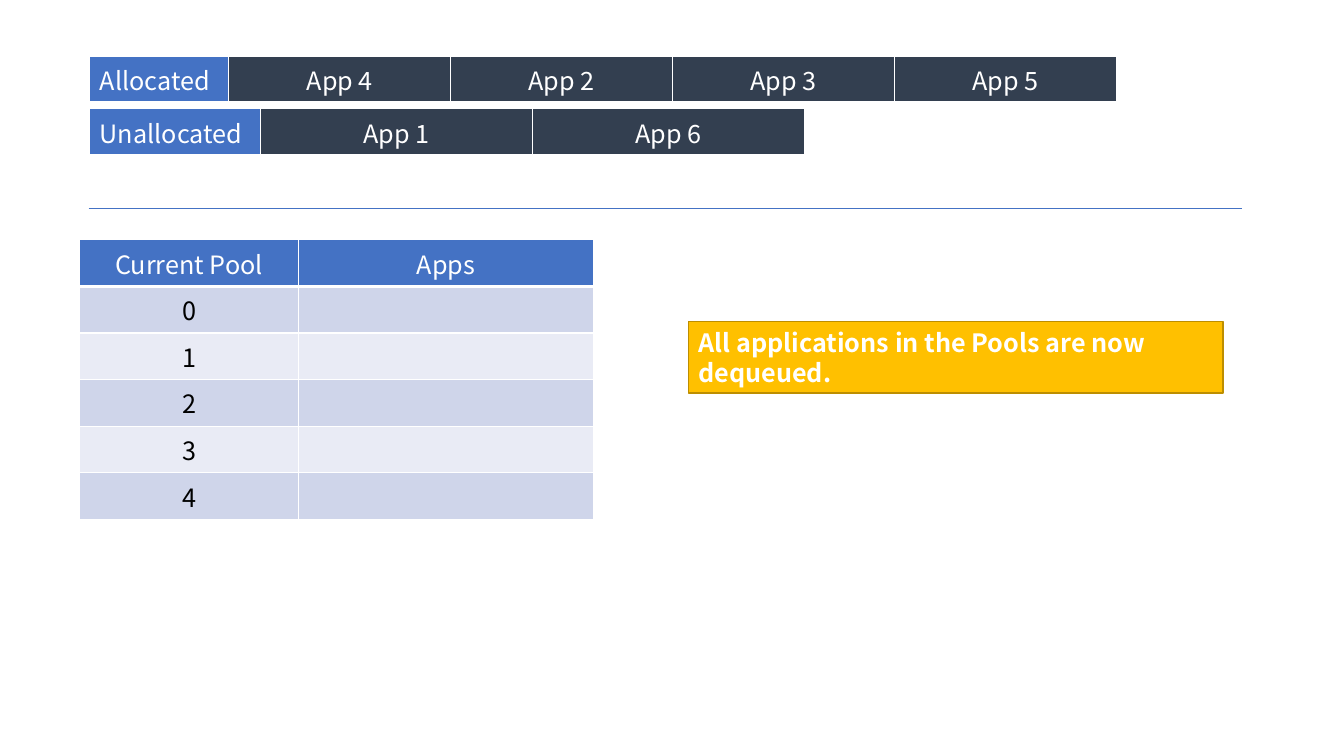
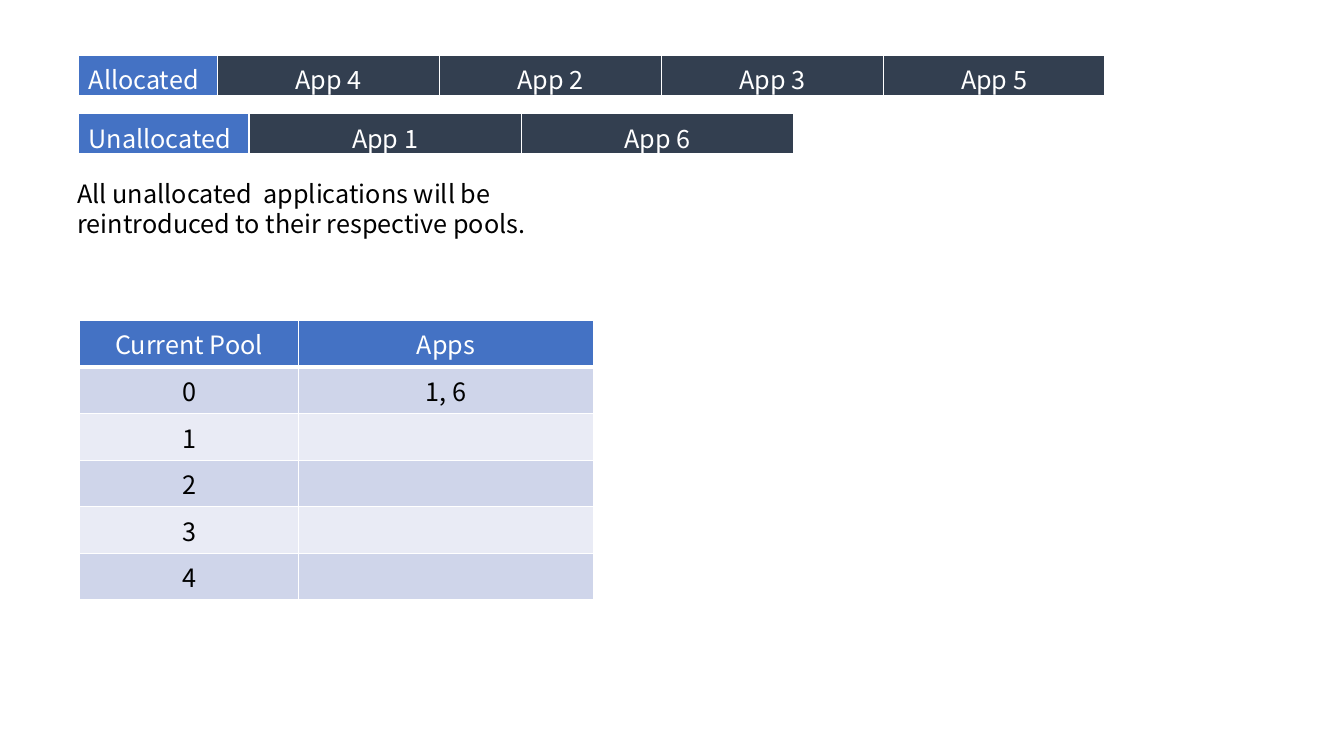
"""Build two slides that follow application allocation through the pools."""
from dataclasses import dataclass

from lxml import etree
from pptx import Presentation
from pptx.dml.color import RGBColor
from pptx.enum import shapes, text
from pptx.oxml.ns import qn
from pptx.util import Inches, Pt

FONT = "Noto Sans CJK JP"
WHITE = RGBColor(0xFF, 0xFF, 0xFF)
BLACK = RGBColor(0x00, 0x00, 0x00)
BLUE = RGBColor(0x44, 0x72, 0xC4)
NAVY = RGBColor(0x33, 0x3F, 0x50)
BAND_DARK = RGBColor(0xCF, 0xD5, 0xEA)
BAND_LIGHT = RGBColor(0xE9, 0xEB, 0xF5)
AMBER = RGBColor(0xFF, 0xC0, 0x00)
AMBER_EDGE = RGBColor(0xBD, 0x8E, 0x00)
POOL_COUNT = 5


@dataclass(frozen=True)
class Queue:
    """A labelled row of applications."""
    label: str
    apps: tuple[str, ...]
    label_width: float
    app_width: float


ALLOCATED = Queue("Allocated", ("App 4", "App 2", "App 3", "App 5"), 1.38, 2.2)
UNALLOCATED = Queue("Unallocated", ("App 1", "App 6"), 1.69, 2.7)


def style_paragraph(p, color: RGBColor, align=text.PP_ALIGN.LEFT, bold: bool = False) -> None:
    """Apply the shared font and the given colour and alignment."""
    p.alignment = align
    p.font.name, p.font.size, p.font.bold = FONT, Pt(18), bold
    p.font.color.rgb = color


def set_borders(cell, bottom: float) -> None:
    """Give a cell white borders, with its own bottom width in points."""
    tc_pr = cell._tc.get_or_add_tcPr()
    for i, (side, width) in enumerate((("L", 1), ("R", 1), ("T", 1), ("B", bottom))):
        ln = etree.Element(qn(f"a:ln{side}"), w=str(Pt(width)))
        fill = etree.SubElement(ln, qn("a:solidFill"))
        etree.SubElement(fill, qn("a:srgbClr"), val=str(WHITE))
        tc_pr.insert(i, ln)


def fill_cell(cell, words: str, fill: RGBColor, color: RGBColor,
              bottom: float = 1, align=text.PP_ALIGN.CENTER) -> None:
    """Write and format one table cell."""
    cell.fill.solid()
    cell.fill.fore_color.rgb = fill
    set_borders(cell, bottom)
    cell.text = words
    style_paragraph(cell.text_frame.paragraphs[0], color, align)


def add_grid(s, left: float, top: float, widths: list[float], rows: int, row_height: float):
    """Add an unbanded table with the given column widths."""
    table = s.shapes.add_table(rows, len(widths), Inches(left), Inches(top),
                               Inches(sum(widths)), Inches(rows * row_height)).table
    table.first_row = table.horz_banding = False
    for column, width in zip(table.columns, widths):
        column.width = Inches(width)
    return table


def add_queue(s, queue: Queue, left: float, top: float) -> None:
    """Draw a queue as a one-row table."""
    widths = [queue.label_width] + [queue.app_width] * len(queue.apps)
    table = add_grid(s, left, top, widths, 1, 0.41)
    fill_cell(table.cell(0, 0), queue.label, BLUE, WHITE, 3, text.PP_ALIGN.LEFT)
    for i, app in enumerate(queue.apps, 1):
        fill_cell(table.cell(0, i), app, NAVY, WHITE, 3)


def add_pools(s, top: float, pools: dict[int, str]) -> None:
    """Draw the pool table with the applications waiting in each pool."""
    table = add_grid(s, 0.79, top, [2.17, 2.93], POOL_COUNT + 1, 0.45)
    for i, heading in enumerate(("Current Pool", "Apps")):
        fill_cell(table.cell(0, i), heading, BLUE, WHITE, 3)
    for pool in range(POOL_COUNT):
        band = BAND_LIGHT if pool % 2 else BAND_DARK
        for i, words in enumerate((str(pool), pools.get(pool, ""))):
            fill_cell(table.cell(pool + 1, i), words, band, BLACK)


def write_message(sp, words: str, color: RGBColor, bold: bool = False) -> None:
    """Put a wrapped message in a shape that fits its text."""
    tf = sp.text_frame
    tf.word_wrap = True
    tf.auto_size = text.MSO_AUTO_SIZE.SHAPE_TO_FIT_TEXT
    tf.text = words
    style_paragraph(tf.paragraphs[0], color, bold=bold)


def add_divider(s, left: float, right: float, y: float) -> None:
    """Draw a thin horizontal rule."""
    line = s.shapes.add_connector(shapes.MSO_CONNECTOR.STRAIGHT,
                                  Inches(left), Inches(y), Inches(right), Inches(y))
    line.line.color.rgb = BLUE
    line.line.width = Pt(0.5)
    etree.SubElement(line._element.spPr, qn("a:effectLst"))


def add_callout(s, words: str) -> None:
    """Draw the amber callout."""
    sp = s.shapes.add_shape(shapes.MSO_SHAPE.RECTANGLE, Inches(6.83), Inches(3.19),
                            Inches(5.3), Inches(0.71))
    sp.shadow.inherit = False
    sp.fill.solid()
    sp.fill.fore_color.rgb = AMBER
    sp.line.color.rgb = AMBER_EDGE
    sp.line.width = Pt(1)
    write_message(sp, words, WHITE, bold=True)


def build_dequeued(s) -> None:
    """Show the pools after every application has left them."""
    add_queue(s, ALLOCATED, 0.89, 0.56)
    add_pools(s, 2.38, {})
    add_divider(s, 0.88, 12.32, 2.07)
    add_queue(s, UNALLOCATED, 0.89, 1.08)
    add_callout(s, "All applications in the Pools are now dequeued.")


def build_reintroduced(s) -> None:
    """Show the unallocated applications back in their pool."""
    add_pools(s, 3.18, {0: "1, 6"})
    sp = s.shapes.add_textbox(Inches(0.67), Inches(1.72), Inches(4.89), Inches(0.71))
    write_message(sp, "All unallocated  applications will be reintroduced "
                      "to their respective pools.", BLACK)
    add_queue(s, ALLOCATED, 0.78, 0.55)
    add_queue(s, UNALLOCATED, 0.78, 1.13)


def main() -> None:
    """Build and save the presentation."""
    prs = Presentation()
    prs.slide_width, prs.slide_height = Inches(13.33), Inches(7.5)
    for build in (build_dequeued, build_reintroduced):
        build(prs.slides.add_slide(prs.slide_layouts[6]))
    prs.save("out.pptx")


if __name__ == "__main__":
    main()
